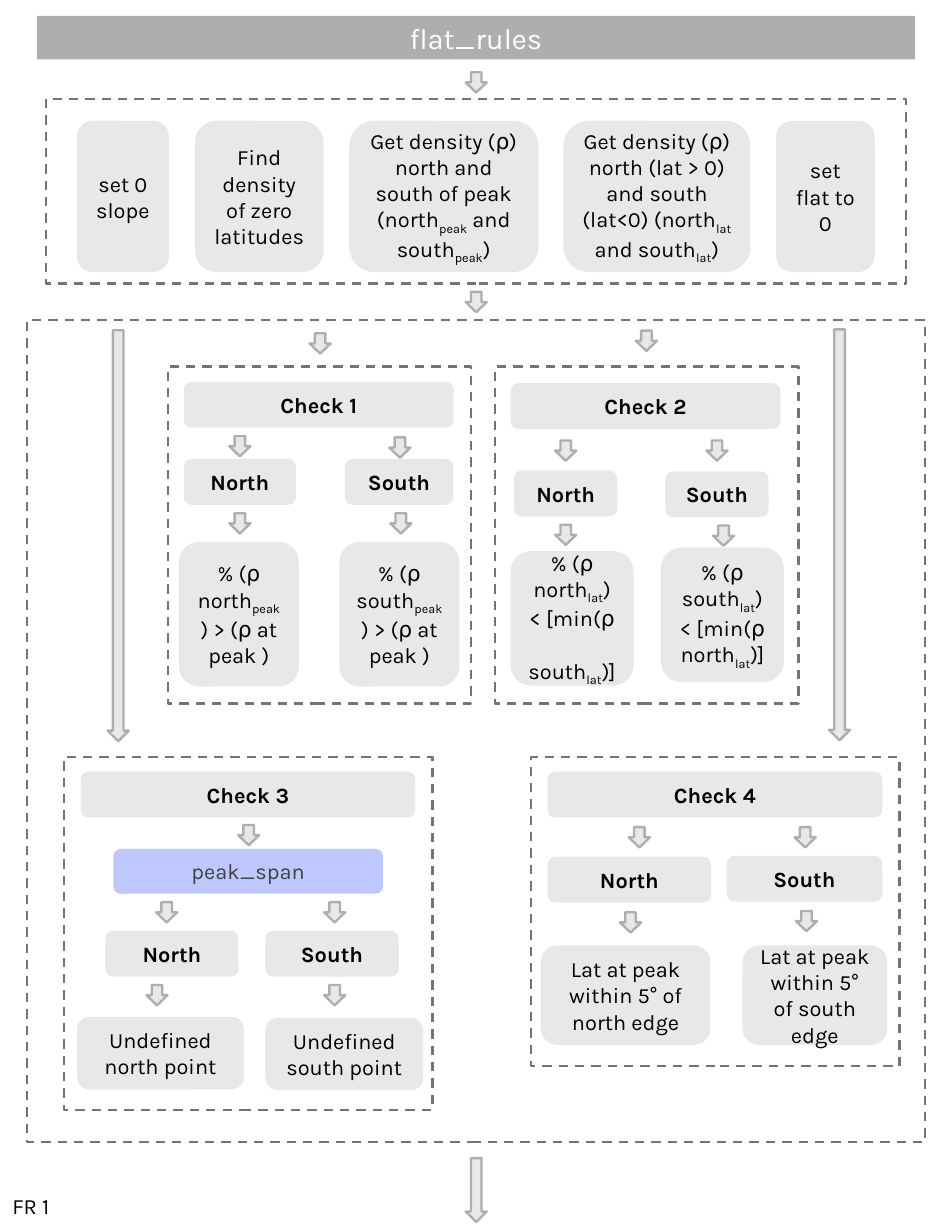
import pptx
import pptx.dml.color
import pptx.enum.dml
import pptx.enum.shapes
import pptx.enum.text
import pptx.oxml
import pptx.util
from pptx.util import Cm

color = pptx.dml.color.RGBColor.from_string
SHAPES = pptx.enum.shapes.MSO_SHAPE
GREY, MID_GREY, DARK_GREY = "E8E8E8", "AEAEAE", "747474"

presentation = pptx.Presentation()
presentation.slide_width, presentation.slide_height = Cm(21.59), Cm(27.94)
slide = presentation.slides.add_slide(presentation.slide_layouts[5])


def add_shape(kind, left, top, width, height, fill=None, line=None):
    shape = slide.shapes.add_shape(kind, Cm(left), Cm(top), Cm(width), Cm(height))
    shape.shadow.inherit = False
    if fill:
        shape.fill.solid()
        shape.fill.fore_color.rgb = color(fill)
    else:
        shape.fill.background()
    if line:
        shape.line.color.rgb = color(line)
        shape.line.width = pptx.util.Pt(1.5)
    else:
        shape.line.fill.background()
    return shape


def write(shape, text, size=14, font_color="000000", bold=False,
          alignment=pptx.enum.text.PP_ALIGN.CENTER):
    """Fill a shape with text; each line is a paragraph, ~parts~ are subscripts."""
    frame = shape.text_frame
    frame.word_wrap = True
    frame.vertical_anchor = pptx.enum.text.MSO_ANCHOR.MIDDLE
    for index, line in enumerate(text.split("\n")):
        paragraph = frame.add_paragraph() if index else frame.paragraphs[0]
        paragraph.alignment = alignment
        paragraph.font.name = "Karla"
        paragraph.font.size = pptx.util.Pt(size)
        paragraph.font.bold = bold
        paragraph.font.color.rgb = color(font_color)
        for position, part in enumerate(line.split("~")):
            run = paragraph.add_run()
            run.text = part
            if position % 2:
                run._r.get_or_add_rPr().set("baseline", "-25000")


# Title bar
title = slide.shapes.title
title.left, title.top, title.width, title.height = Cm(0.84), Cm(0.36), Cm(19.91), Cm(0.99)
title._element.spPr.append(pptx.oxml.parse_xml(
    '<a:prstGeom xmlns:a="http://schemas.openxmlformats.org/drawingml/2006/main" '
    'prst="roundRect"><a:avLst/></a:prstGeom>'))
title.fill.solid()
title.fill.fore_color.rgb = color(MID_GREY)
write(title, "flat_rules", 18.7, "FFFFFF")
title.text_frame.auto_size = pptx.enum.text.MSO_AUTO_SIZE.NONE

# Dashed frames: all checks, the steps, then checks 1 to 4
for frame_box in [
    (0.61, 7.26, 20.37, 18.64),
    (1.04, 2.24, 19.51, 4.19),
    (3.81, 8.31, 6.88, 7.65),
    (11.23, 8.31, 6.88, 7.65),
    (1.45, 17.17, 8.36, 8),
    (12.04, 17.17, 8.36, 7.01),
]:
    frame_shape = add_shape(SHAPES.RECTANGLE, *frame_box, line=DARK_GREY)
    frame_shape.line.dash_style = pptx.enum.dml.MSO_LINE.DASH

# Step row
for left, width, text in [
    (1.75, 2.08, "set 0 slope"),
    (4.42, 2.92, "Find density of zero latitudes"),
    (7.92, 4.29, "Get density (⍴) north and south of peak\n"
                 "(north~peak~ and south~peak~)"),
    (12.78, 4.24, "Get density (⍴) north (lat > 0) and south (lat<0) "
                  "(north~lat~ and south~lat~)"),
    (17.6, 2.24, "set flat to 0"),
]:
    write(add_shape(SHAPES.ROUNDED_RECTANGLE, left, 2.74, width, 3.43, GREY), text)

# Check headings and their north and south labels
for left, top, width, text in [
    (4.17, 8.66, 6.12, "Check 1"),
    (4.17, 10.41, 2.54, "North"),
    (7.82, 10.41, 2.46, "South"),
    (11.58, 8.69, 6.12, "Check 2"),
    (11.66, 10.67, 2.34, "North"),
    (15.09, 10.69, 2.34, "South"),
    (1.83, 17.5, 7.59, "Check 3"),
    (2.39, 21.11, 3.02, "North"),
    (6.02, 21.11, 3.02, "South"),
    (12.42, 17.5, 7.59, "Check 4"),
    (12.42, 19.43, 3.71, "North"),
    (16.48, 19.41, 3.53, "South"),
]:
    write(add_shape(SHAPES.ROUNDED_RECTANGLE, left, top, width, 1.04, GREY), text, bold=True)

peak_span = add_shape(SHAPES.ROUNDED_RECTANGLE, 2.57, 19.25, 6.12, 1.02, "BFC7FF")
write(peak_span, "peak_span", font_color="404040")

# Conditions; the gap is the space before the second paragraph, in points
for left, top, width, height, gap, text in [
    (4.06, 12.29, 2.72, 3.28, 0, "% (⍴ north~peak~) > (⍴ at peak )"),
    (7.7, 12.29, 2.72, 3.28, 0, "% (⍴ south~peak~) > (⍴ at peak )"),
    (11.58, 12.5, 2.79, 3.05, 17, "% (⍴ north~lat~) < [min(⍴\nsouth~lat~)]"),
    (14.99, 12.42, 2.79, 3.05, 0, "% (⍴ south~lat~) < [min(⍴\nnorth~lat~)]"),
    (1.75, 23.06, 3.78, 1.65, 0, "Undefined north point"),
    (6.02, 23.09, 3.58, 1.63, 0, "Undefined south point"),
    (12.27, 21.44, 3.84, 2.26, 0, "Lat at peak within 5° of north edge"),
    (16.84, 21.44, 3.28, 2.26, 0, "Lat at peak within 5° of south edge"),
]:
    condition = add_shape(SHAPES.ROUNDED_RECTANGLE, left, top, width, height, GREY)
    write(condition, text)
    if gap:
        condition.text_frame.paragraphs[1].space_before = pptx.util.Pt(gap)

# Downward arrows: centre x, centre y, length
SHORT, THICKNESS = 0.46, 0.48
arrows = [(x, y, SHORT) for x, y in [
    (10.8, 1.87), (10.8, 6.85), (7.26, 7.79), (14.66, 7.73),
    (5.44, 10.12), (9.07, 10.15), (5.44, 11.87), (9.09, 11.87),
    (12.83, 10.22), (16.26, 10.22), (12.83, 12.13), (16.41, 12.15),
    (5.64, 18.94), (3.78, 20.69), (7.59, 20.69), (3.56, 22.57), (7.59, 22.57),
    (14.5, 18.99), (18.26, 18.99), (14.3, 20.92), (18.29, 20.89),
]]
arrows += [(2.68, 12.15, 9.32), (19.04, 12.13, 9.32), (10.8, 26.99, 1.45)]
for x, y, length in arrows:
    arrow = add_shape(SHAPES.RIGHT_ARROW, x - length / 2, y - THICKNESS / 2,
                      length, THICKNESS, GREY, MID_GREY)
    arrow.rotation = 90

figure_label = slide.shapes.add_textbox(Cm(0.03), Cm(26.92), Cm(3.3), Cm(0.86))
write(figure_label, "FR 1", alignment=pptx.enum.text.PP_ALIGN.LEFT)

presentation.save("out.pptx")
